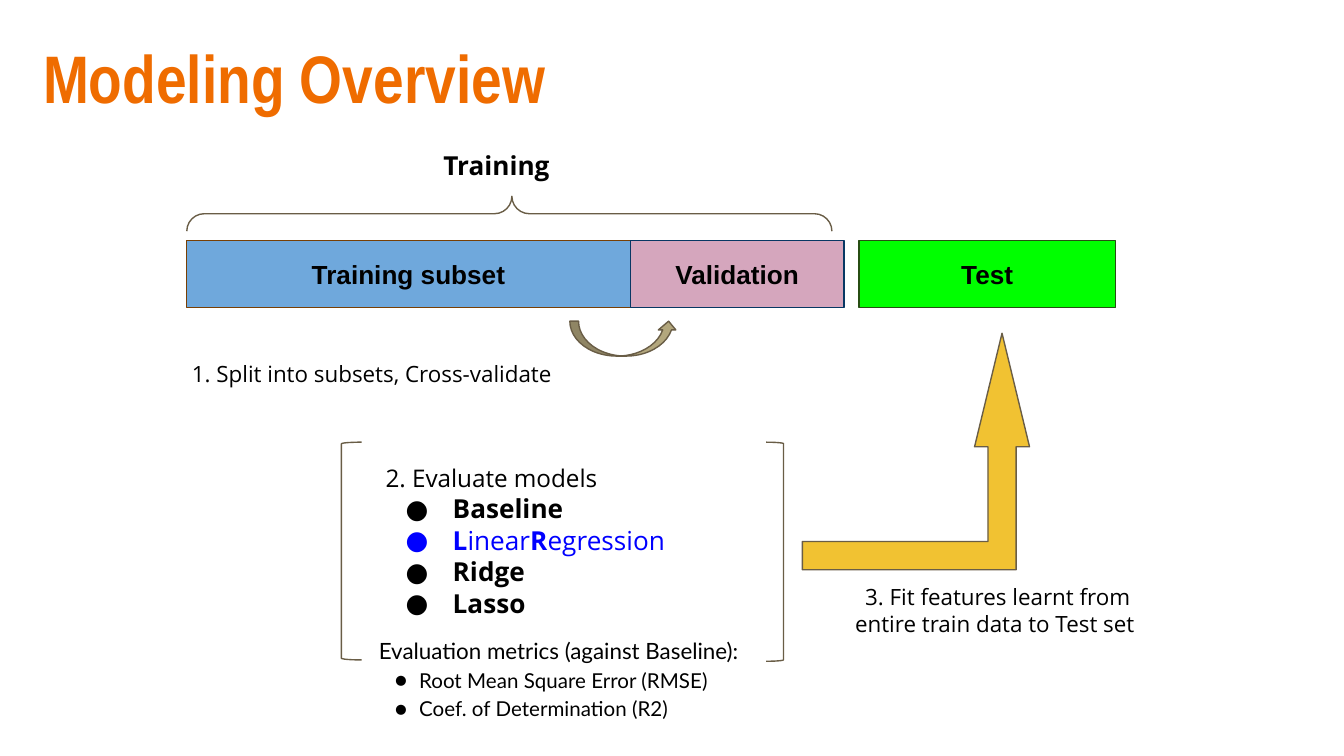
"""Build the Modeling Overview slide: data split, model evaluation and final fit."""
from dataclasses import dataclass

from lxml.etree import SubElement
from pptx import Presentation
from pptx.dml.color import RGBColor
from pptx.enum.shapes import MSO_SHAPE as Shape
from pptx.enum.text import MSO_ANCHOR as Anchor, MSO_AUTO_SIZE as AutoSize, PP_ALIGN as Align
from pptx.oxml.ns import qn
from pptx.util import Inches, Pt


@dataclass(frozen=True)
class Theme:
    title_font: str = "Arial Narrow"
    bar_font: str = "Arial"
    body_font: str = "Open Sans"
    metric_font: str = "Lato"
    title_size: int = 36
    label_size: int = 14
    heading_size: int = 13
    note_size: int = 12
    metric_size: int = 11
    title: str = "EF6C00"
    ink: str = "000000"
    chosen: str = "0000FF"
    outline: str = "695D46"
    swoosh: str = "B3A77D"
    arrow: str = "F1C232"


T = Theme()
SLIDE_WIDTH = 10
SLIDE_HEIGHT = SLIDE_WIDTH * 9 / 16
MARGIN = 0.1
LINE_WIDTH = 0.75

TITLE = "Modeling Overview"
BAR_LEFT, BAR_TOP, BAR_HEIGHT = 1.39, 1.79, 0.5
BARS = [
    ("Training subset", 3.3, 0, "6FA8DC", "783F04"),
    ("Validation", 1.59, 0.11, "D5A6BD", "073763"),
    ("Test", 1.91, 0, "00FF00", "274E13"),
]
MARKS = [
    (Shape.CURVED_UP_ARROW, (4.24, 2.39, 0.8, 0.26), 0, (0.25, 0.5, 0.25), T.swoosh),
    (Shape.LEFT_BRACKET, (2.54, 3.29, 0.15, 1.62), 0, (0.083,), None),
    (Shape.LEFT_BRACKET, (5.7, 3.29, 0.13, 1.63), 180, (0.083,), None),
    (Shape.BENT_UP_ARROW, (5.97, 2.48, 1.69, 1.76), 0, (0.124, 0.121, 0.5), T.arrow),
    (Shape.RIGHT_BRACE, (3.66, -0.81, 0.26, 4.8), 270, (0.5, 0.504), None),
]

NUMBERED = ("buAutoNum", "type", "arabicPeriod", 0.5, -0.09)
MODEL = ("buChar", "char", "●", 0.5, -0.35)
METRIC = ("buChar", "char", "●", 0.3, -0.18)
MODELS = [
    ([("Baseline", True)], T.ink),
    ([("L", True), ("inear", False), ("R", True), ("egression", False)], T.chosen),
    ([("Ridge", True)], T.ink),
    ([("Lasso", True)], T.ink),
]
METRICS = ["Root Mean Square Error (RMSE)", "Coef. of Determination (R2)"]


def line(text, size, bullet=None, bold=False):
    return [(text, bold)], size, T.ink, bullet


NOTES = [
    ((3.2, 1.01, 1.59, 0.96), T.body_font, None, None,
     [line("Training", T.label_size, bold=True)]),
    ((0.92, 2.58, 4.57, 0.6), T.body_font, None, None,
     [line(" Split into subsets, Cross-validate", T.note_size, NUMBERED)]),
    ((2.77, 3.35, 3.51, 1.62), T.body_font, None, None,
     [line("2. Evaluate models", T.heading_size)]
     + [(runs, T.label_size, color, MODEL) for runs, color in MODELS]),
    ((2.72, 4.61, 2.95, 2.58), T.metric_font, None, 1.15,
     [line("Evaluation metrics (against Baseline):", T.note_size)]
     + [line(name, T.metric_size, METRIC) for name in METRICS]),
    ((6.19, 4.24, 2.47, 0.6), T.body_font, Align.CENTER, None,
     [line("3. Fit features learnt from entire train data to Test set ", T.note_size)]),
]


def rgb(color):
    return RGBColor.from_string(color)


def style_run(r, font, size, color, bold):
    r.font.name, r.font.size, r.font.bold = font, Pt(size), bold
    r.font.color.rgb = rgb(color)


def set_frame(tf, anchor):
    tf.word_wrap = True
    tf.auto_size = AutoSize.NONE
    tf.vertical_anchor = anchor
    tf.margin_left = tf.margin_right = tf.margin_top = tf.margin_bottom = Inches(MARGIN)


def set_label(tf, text, anchor, align, font, size, color):
    set_frame(tf, anchor)
    tf.text = text
    p = tf.paragraphs[0]
    p.alignment = align
    style_run(p.runs[0], font, size, color, True)


def set_bullet(p, bullet, font, color):
    tag, key, value, left, hang = bullet
    pPr = p._p.get_or_add_pPr()
    pPr.set("marL", str(Inches(left)))
    pPr.set("indent", str(Inches(hang)))
    SubElement(SubElement(pPr, qn("a:buClr")), qn("a:srgbClr")).set("val", color)
    SubElement(pPr, qn("a:buFont")).set("typeface", font)
    SubElement(pPr, qn(f"a:{tag}")).set(key, value)


def add_note(slide, box, font, align, spacing, lines):
    tf = slide.shapes.add_textbox(*map(Inches, box)).text_frame
    set_frame(tf, Anchor.TOP)
    for i, (runs, size, color, bullet) in enumerate(lines):
        p = tf.add_paragraph() if i else tf.paragraphs[0]
        p.alignment, p.line_spacing = align, spacing
        if bullet:
            set_bullet(p, bullet, font, color)
        for text, bold in runs:
            r = p.add_run()
            r.text = text
            style_run(r, font, size, color, bold)


def add_mark(slide, kind, box, fill, outline, rotation=0, adjustments=()):
    sp = slide.shapes.add_shape(kind, *map(Inches, box))
    sp.shadow.inherit = False
    sp.rotation = rotation
    for i, value in enumerate(adjustments):
        sp.adjustments[i] = value
    if fill:
        sp.fill.solid()
        sp.fill.fore_color.rgb = rgb(fill)
    else:
        sp.fill.background()
    sp.line.color.rgb = rgb(outline)
    sp.line.width = Pt(LINE_WIDTH)
    return sp


def main():
    prs = Presentation()
    prs.slide_width, prs.slide_height = Inches(SLIDE_WIDTH), Inches(SLIDE_HEIGHT)
    slide = prs.slides.add_slide(prs.slide_layouts[5])

    title = slide.shapes.title
    title.left, title.top, title.width, title.height = map(Inches, (0.22, 0.17, 9.32, 0.77))
    set_label(title.text_frame, TITLE, Anchor.TOP, Align.LEFT,
              T.title_font, T.title_size, T.title)

    left = BAR_LEFT
    for name, width, gap, fill, outline in BARS:
        sp = add_mark(slide, Shape.RECTANGLE, (left, BAR_TOP, width, BAR_HEIGHT), fill, outline)
        set_label(sp.text_frame, name, Anchor.MIDDLE, Align.CENTER,
                  T.bar_font, T.label_size, T.ink)
        left += width + gap

    for kind, box, rotation, adjustments, fill in MARKS:
        add_mark(slide, kind, box, fill, T.outline, rotation, adjustments)
    for note in NOTES:
        add_note(slide, *note)

    prs.save("out.pptx")


if __name__ == "__main__":
    main()
